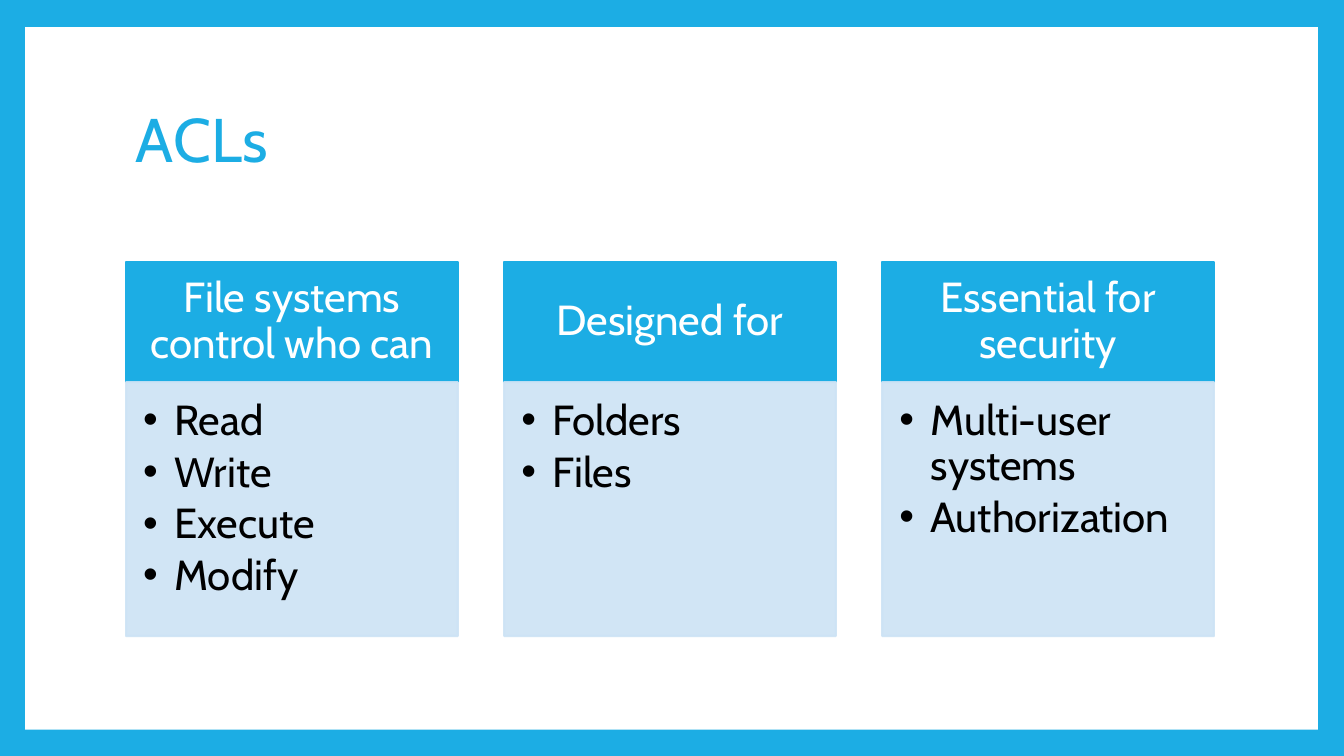
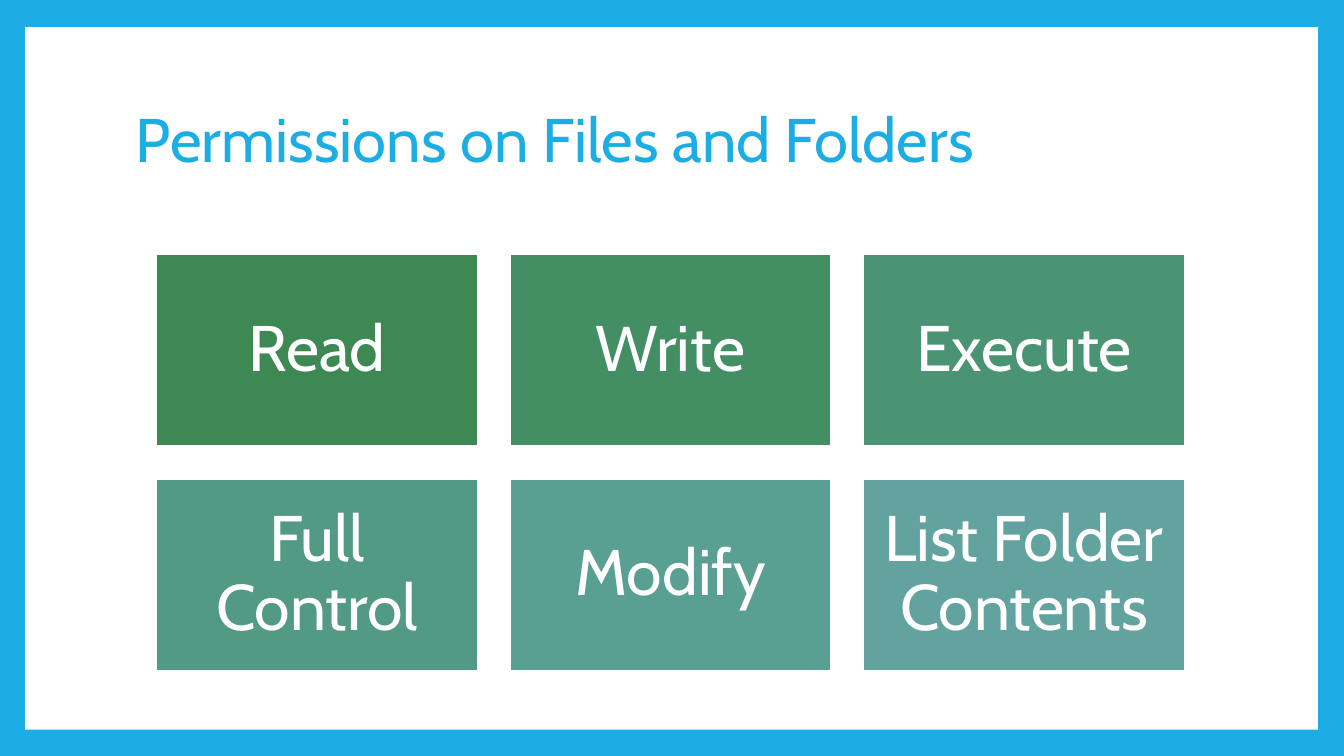
from dataclasses import dataclass

from lxml import etree
from pptx import Presentation
from pptx.dml.color import RGBColor
from pptx.enum.shapes import MSO_SHAPE
from pptx.enum.text import MSO_ANCHOR, PP_ALIGN
from pptx.oxml.ns import qn
from pptx.util import Inches, Pt

RECT = MSO_SHAPE.RECTANGLE
TOP, MID = MSO_ANCHOR.TOP, MSO_ANCHOR.MIDDLE
LEFT, CENTER = PP_ALIGN.LEFT, PP_ALIGN.CENTER


@dataclass(frozen=True)
class Theme:
    font: str = "Cabin"
    blue: str = "1CADE4"
    pale: str = "CDE3F5"
    white: str = "FFFFFF"
    black: str = "000000"
    fade: tuple = ("3E8853", "448E63", "4B9473", "529A83", "599F92", "62A39F")
    title: int = 44
    body: int = 30
    tile: int = 46
    edge: float = 1.5
    lead: float = 0.9
    gap: float = 4.5


def bullet(para, indent):
    """Give a paragraph a round bullet with a hanging indent."""
    props = para._p.get_or_add_pPr()
    props.set("marL", str(Inches(indent)))
    props.set("indent", str(-Inches(indent)))
    etree.SubElement(props, qn("a:buFont")).set("typeface", "Arial")
    etree.SubElement(props, qn("a:buChar")).set("char", "•")


def write(shape, lines, *, theme, size, color, align=LEFT, anchor=MID,
          inset=(0.1, 0.05, 0.1, 0.05), after=0, indent=None):
    """Fill a shape with paragraphs in one format."""
    frame = shape.text_frame
    frame.word_wrap = True
    frame.vertical_anchor = anchor
    (frame.margin_left, frame.margin_top,
     frame.margin_right, frame.margin_bottom) = map(Inches, inset)
    for num, line in enumerate(lines):
        para = frame.add_paragraph() if num else frame.paragraphs[0]
        para.alignment = align
        para.line_spacing = theme.lead
        para.space_after = Pt(after)
        if indent:
            bullet(para, indent)
        run = para.add_run()
        run.text = line
        run.font.name = theme.font
        run.font.size = Pt(size)
        run.font.color.rgb = RGBColor.from_string(color)


def spread(first, last, count):
    """Return evenly spaced starts from first to last."""
    step = (last - first) / (count - 1)
    return [first + step * num for num in range(count)]


class Deck:
    def __init__(self, theme):
        self.theme = theme
        self.show = Presentation()
        self.show.slide_width = Inches(13.33)
        self.show.slide_height = Inches(7.5)
        self.slide = None

    def page(self, title):
        """Start a slide with the blue frame and its title."""
        theme = self.theme
        self.slide = self.show.slides.add_slide(self.show.slide_layouts[6])
        back = self.slide.background.fill
        back.solid()
        back.fore_color.rgb = RGBColor.from_string(theme.blue)
        self.box(0.25, 0.27, 12.82, 6.97, theme.white)
        head = self.slide.shapes.add_textbox(
            *map(Inches, (1.25, 0.67, 10.8, 1.48)))
        write(head, [title], theme=theme, size=theme.title, color=theme.blue)

    def box(self, x, y, wide, high, color, edge=None, alpha=None):
        """Add a flat rectangle, with an edge and opacity if given."""
        shape = self.slide.shapes.add_shape(
            RECT, *map(Inches, (x, y, wide, high)))
        shape.shadow.inherit = False
        shape.fill.solid()
        shape.fill.fore_color.rgb = RGBColor.from_string(color)
        if edge:
            shape.line.color.rgb = RGBColor.from_string(edge)
            shape.line.width = Pt(self.theme.edge)
        else:
            shape.line.fill.background()
        if alpha:
            for tone in shape._element.spPr.iter(qn("a:srgbClr")):
                etree.SubElement(tone, qn("a:alpha")).set(
                    "val", str(alpha * 1000))
        return shape

    def card(self, x, head, items):
        """Add a heading band above a bulleted panel."""
        theme = self.theme
        band = self.box(x, 2.6, 3.29, 1.19, theme.blue, theme.blue)
        write(band, [head], theme=theme, size=theme.body, color=theme.white,
              align=CENTER, inset=(0.23, 0.13, 0.23, 0.13))
        panel = self.box(x, 3.79, 3.29, 2.52, theme.pale, theme.pale, 90)
        write(panel, items, theme=theme, size=theme.body, color=theme.black,
              anchor=TOP, inset=(0.17, 0.17, 0.23, 0.26), after=theme.gap,
              indent=0.31)

    def tile(self, x, y, label, color):
        """Add a coloured tile with a large label."""
        theme = self.theme
        shape = self.box(x, y, 3.19, 1.91, color, theme.white)
        write(shape, [label], theme=theme, size=theme.tile, color=theme.white,
              align=CENTER, inset=(0.19,) * 4)


def main():
    deck = Deck(Theme())

    # Access control lists
    deck.page("ACLs")
    cards = [
        ("File systems control who can",
         ["Read", "Write", "Execute", "Modify"]),
        ("Designed for", ["Folders", "Files"]),
        ("Essential for security", ["Multi-user systems", "Authorization"]),
    ]
    for x, (head, items) in zip(spread(1.25, 8.75, 3), cards):
        deck.card(x, head, items)

    # Grid of permissions
    deck.page("Permissions on Files and Folders")
    labels = ["Read", "Write", "Execute",
              "Full Control", "Modify", "List Folder Contents"]
    spots = [(x, y) for y in (2.52, 4.75) for x in spread(1.55, 8.56, 3)]
    for (x, y), label, color in zip(spots, labels, deck.theme.fade):
        deck.tile(x, y, label, color)

    deck.show.save("out.pptx")


if __name__ == "__main__":
    main()
